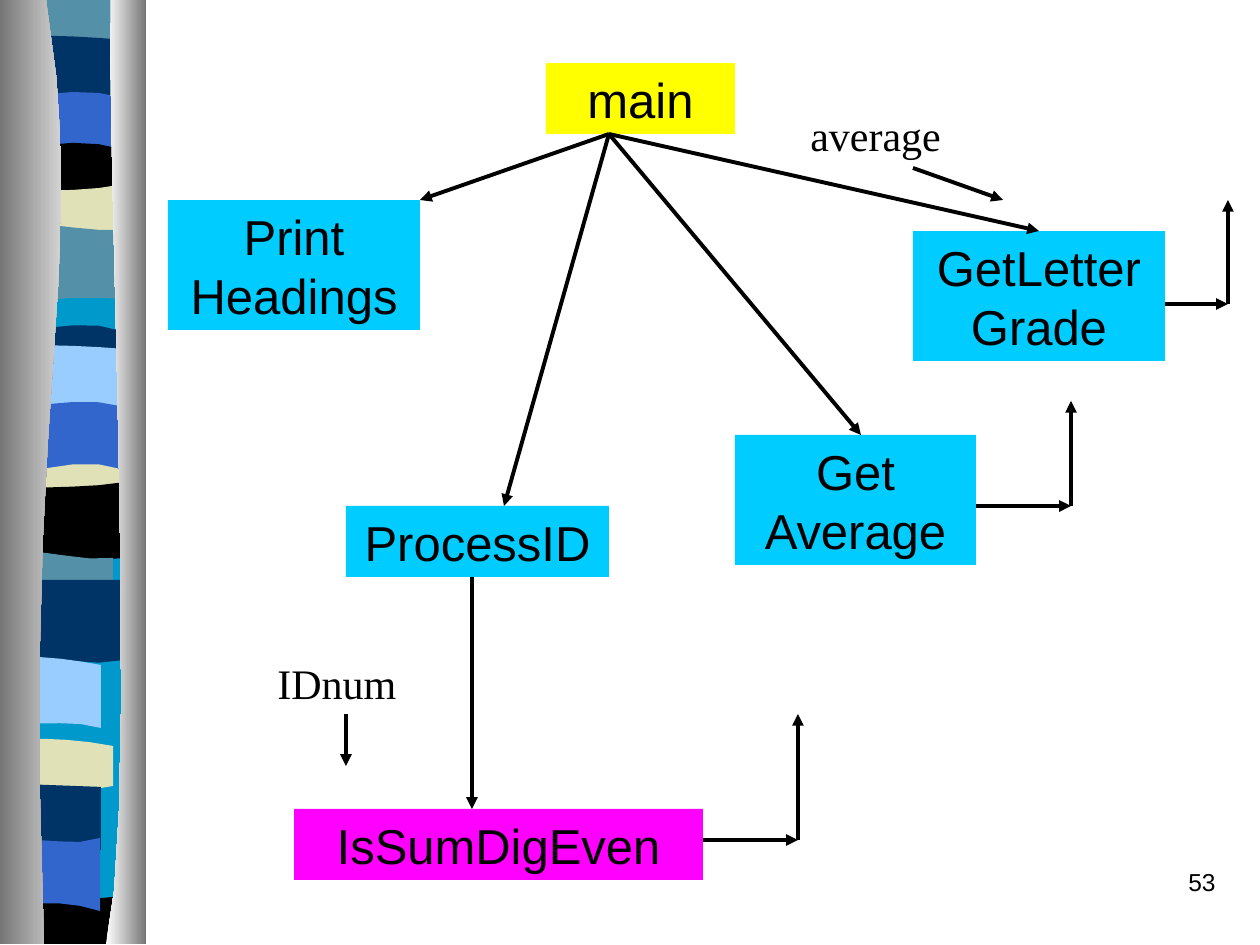
from dataclasses import dataclass
from typing import Optional

from lxml.etree import SubElement
from pptx import Presentation
from pptx.dml.color import RGBColor
from pptx.enum.shapes import MSO_CONNECTOR as Connector, MSO_SHAPE as Shape
from pptx.enum.text import MSO_ANCHOR as Anchor, PP_ALIGN as Align
from pptx.oxml.ns import qn
from pptx.util import Pt

EMU_PER_PX = 914400 / 126
WIDTH, HEIGHT = 1260, 945
BAND_LEFT = 20  # hidden behind the left column
BAND_STEPS, COLUMN_STEPS = 4, 10

COLORS = {
    "black": "000000", "yellow": "FFFF00", "sky": "00CCFF", "magenta": "FF00FF",
    "cyan": "0099CC", "teal": "5490A8", "navy": "003366", "blue": "3366CC",
    "beige": "E1E1B7", "pale": "99CCFF",
    "dark_gray": "767676", "light_gray": "D3D3D3", "white": "FFFFFF",
}


@dataclass
class Band:
    """A stripe; each edge holds the control heights: two if straight, four if wavy."""
    color: str
    right: int
    top: tuple
    bottom: tuple


@dataclass
class Module:
    text: str
    color: str
    left: int
    top: int
    width: int
    height: int


@dataclass
class Label:
    text: str
    left: int
    top: int
    width: int
    font: str
    size: int
    align: Align


@dataclass
class Arrow:
    start: tuple
    end: tuple
    target: Optional[str] = None  # module joined at the middle of its top


BANDS = [
    Band("cyan", 125, (0, 0), (944, 944)),
    Band("teal", 125, (0, 0), (45, 45)),
    Band("navy", 125, (36, 35, 37, 40), (110, 110)),
    Band("blue", 125, (98, 92, 88, 98), (160, 160)),
    Band("black", 125, (150, 142, 139, 150), (200, 200)),
    Band("beige", 125, (190, 191, 191, 184), (240, 240)),
    Band("teal", 125, (222, 224, 232, 230), (305, 296, 297, 299)),
    Band("navy", 125, (330, 329, 318, 332), (355, 355)),
    Band("pale", 125, (345, 345, 346, 349), (415, 415)),
    Band("blue", 125, (407, 404, 397, 407), (480, 480)),
    Band("beige", 125, (474, 466, 458, 470), (495, 495)),
    Band("black", 125, (489, 486, 488, 482), (565, 558)),
    Band("teal", 113, (552, 550, 562, 558), (590, 590)),
    Band("navy", 125, (580, 580), (657, 656, 668, 660)),
    Band("pale", 101, (657, 656, 660, 665), (723, 725, 720, 728)),
    Band("beige", 113, (739, 738, 740, 746), (784, 784, 796, 786)),
    Band("black", 125, (905, 896), (944, 944)),
    Band("navy", 101, (784, 787), (850, 850)),
    Band("blue", 100, (842, 836, 848, 838), (905, 902, 902, 911)),
]

MODULES = [
    Module("main", "yellow", 546, 63, 189, 71),
    Module("Print\vHeadings", "sky", 168, 200, 252, 130),
    Module("ProcessID", "sky", 346, 506, 263, 71),
    Module("IsSumDigEven", "magenta", 294, 809, 409, 71),
    Module("Get\vAverage", "sky", 735, 435, 241, 130),
    Module("GetLetter\vGrade", "sky", 913, 231, 252, 130),
]

LABELS = [
    Label("average", 798, 103, 179, "Times New Roman", 24, Align.LEFT),
    Label("IDnum", 265, 651, 163, "Times New Roman", 24, Align.LEFT),
    Label("53", 966, 861, 262, "Arial", 14, Align.RIGHT),
]

MAIN_EXIT = (609, 134)
ARROWS = [
    # Calls
    Arrow(MAIN_EXIT, (420, 200)),
    Arrow(MAIN_EXIT, (504, 506)),
    Arrow(MAIN_EXIT, (861, 435)),
    Arrow(MAIN_EXIT, (1039, 231), "GetLetter\vGrade"),
    Arrow((472, 577), (472, 809)),
    # Parameters
    Arrow((346, 714), (346, 766)),
    Arrow((913, 168), (1003, 200)),
]
# Return paths: exit point, corner x, final y
RETURNS = [((703, 840), 798, 714), ((1165, 304), 1228, 200), ((976, 506), 1071, 401)]
for exit_point, corner_x, end_y in RETURNS:
    corner = (corner_x, exit_point[1])
    ARROWS += [Arrow(exit_point, corner), Arrow(corner, (corner_x, end_y))]


def px(value: float) -> int:
    return round(value * EMU_PER_PX)


def rgb(name: str) -> RGBColor:
    return RGBColor.from_string(COLORS[name])


def curve(controls: list, steps: int) -> list:
    """Points along a cubic Bezier curve."""
    points = []
    for step in range(steps + 1):
        t = step / steps
        u = 1 - t
        points.append(tuple(u**3 * a + 3 * u * u * t * b + 3 * u * t * t * c + t**3 * d
                            for a, b, c, d in zip(*controls)))
    return points


def band_edge(heights: tuple, right: int) -> list:
    gap = (right - BAND_LEFT) / (len(heights) - 1)
    controls = [(BAND_LEFT + i * gap, y) for i, y in enumerate(heights)]
    return curve(controls, BAND_STEPS) if len(controls) == 4 else controls


def draw_outline(slide, points: list):
    start, *rest = [(px(x), px(y)) for x, y in points]
    builder = slide.shapes.build_freeform(*start, scale=1.0)
    builder.add_line_segments(rest, close=True)
    outline = builder.convert_to_shape()
    outline.shadow.inherit = False
    outline.line.fill.background()
    return outline


def draw_band(slide, band: Band) -> None:
    top, bottom = (band_edge(heights, band.right) for heights in (band.top, band.bottom))
    stripe = draw_outline(slide, top + bottom[::-1])
    stripe.fill.solid()
    stripe.fill.fore_color.rgb = rgb(band.color)


def draw_column(slide, controls: list, side_x: int, colors: tuple) -> None:
    edge = curve(controls, COLUMN_STEPS)
    column = draw_outline(slide, edge + [(side_x, 944), (side_x, 0)])
    column.fill.gradient()
    column.fill.gradient_angle = 0
    for stop, color in zip(column.fill.gradient_stops, colors):
        stop.color.rgb = rgb(color)


def write(shape, text: str, font: str, size: int, align: Align) -> None:
    frame = shape.text_frame
    frame.text = text
    frame.word_wrap = True
    paragraph = frame.paragraphs[0]
    paragraph.alignment = align
    for run in paragraph.runs:
        run.font.name = font
        run.font.size = Pt(size)
        run.font.color.rgb = rgb("black")


def draw_module(slide, module: Module):
    box = slide.shapes.add_shape(Shape.RECTANGLE, px(module.left), px(module.top),
                                 px(module.width), px(module.height))
    box.shadow.inherit = False
    box.fill.solid()
    box.fill.fore_color.rgb = rgb(module.color)
    box.line.fill.background()
    write(box, module.text, "Arial", 28, Align.CENTER)
    box.text_frame.vertical_anchor = Anchor.MIDDLE
    return box


def draw_label(slide, label: Label) -> None:
    box = slide.shapes.add_textbox(px(label.left), px(label.top), px(label.width), px(63))
    write(box, label.text, label.font, label.size, label.align)


def draw_arrow(slide, arrow: Arrow, boxes: dict) -> None:
    line = slide.shapes.add_connector(Connector.STRAIGHT, *map(px, arrow.start + arrow.end))
    if arrow.target:
        line.end_connect(boxes[arrow.target], 0)
    line.line.color.rgb = rgb("black")
    line.line.width = Pt(2.25)
    SubElement(line.line._get_or_add_ln(), qn("a:tailEnd"), type="triangle")
    SubElement(line._element.spPr, qn("a:effectLst"))


def main() -> None:
    deck = Presentation()
    deck.slide_width, deck.slide_height = px(WIDTH), px(HEIGHT)
    slide = deck.slides.add_slide(deck.slide_layouts[6])
    # Decorative strip
    for band in BANDS:
        draw_band(slide, band)
    draw_column(slide, [(46, 0), (91, 272), (21, 373), (44, 944)], 0,
                ("dark_gray", "light_gray"))
    draw_column(slide, [(111, 0), (106, 158), (140, 814), (106, 944)], 146,
                ("white", "dark_gray"))
    # Structure chart
    boxes = {module.text: draw_module(slide, module) for module in MODULES}
    for arrow in ARROWS:
        draw_arrow(slide, arrow, boxes)
    for label in LABELS:
        draw_label(slide, label)
    deck.save("out.pptx")


if __name__ == "__main__":
    main()
